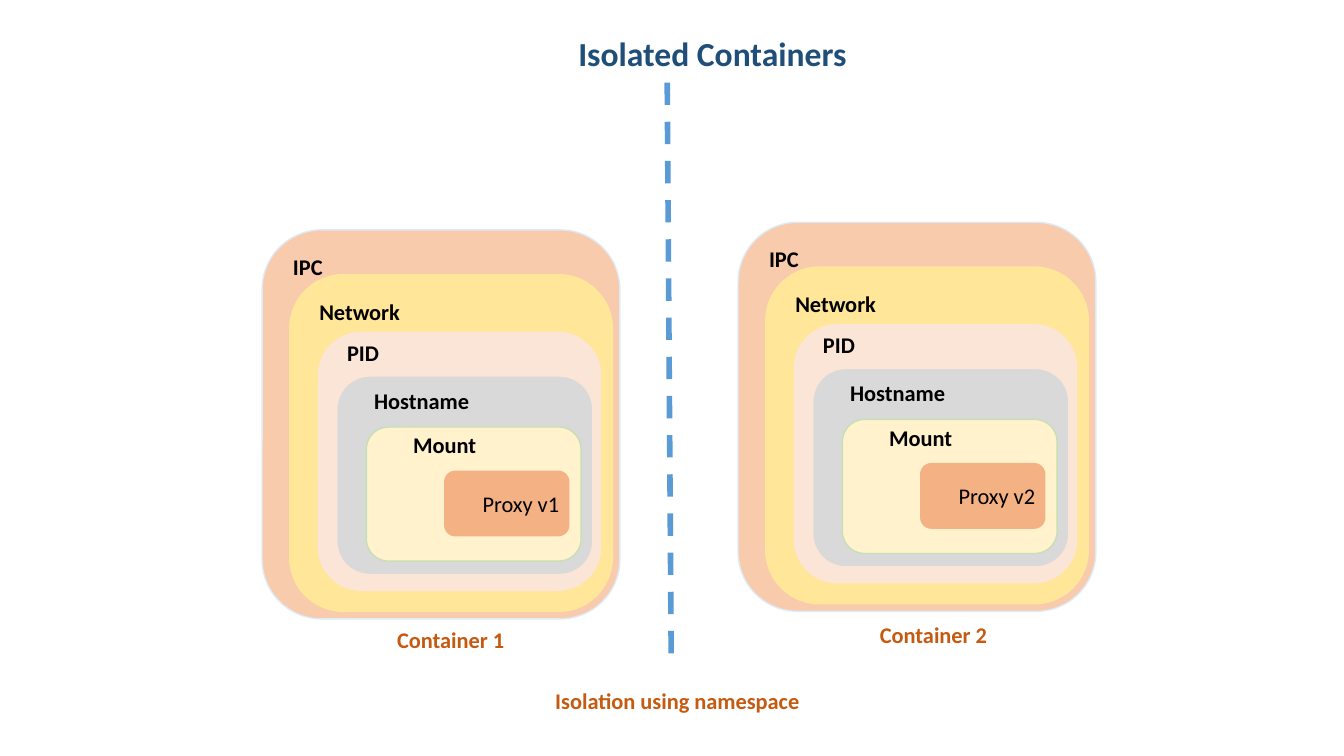
from dataclasses import dataclass

from lxml import etree
from pptx import Presentation
from pptx import util as u
from pptx.dml import color
from pptx.enum import dml, shapes, text
from pptx.oxml import ns


@dataclass(frozen=True)
class Theme:
    font: str = "Calibri"
    title: int = 24
    body: int = 16
    navy: str = "1F4E79"
    rust: str = "C55A11"
    ink: str = "000000"
    blue: str = "5B9BD5"
    ice: str = "DEEBF7"
    peach: str = "F8CBAD"
    gold: str = "FFE699"
    blush: str = "FBE5D6"
    grey: str = "D9D9D9"
    cream: str = "FFF2CC"
    mint: str = "C5E0B4"
    amber: str = "F4B183"


LOOK = Theme()

# Nested namespaces: offset and size of the layer, fill, line,
# then the label with its offset and width
LAYERS = [
    ((0, 0, 255.6, 277.9), LOOK.peach, LOOK.ice, "IPC", (15, 12.8, 40.5)),
    ((19.8, 32, 230.4, 240.5), LOOK.gold, LOOK.gold, "Network", (33.8, 45, 83)),
    ((40.3, 73.2, 201.6, 184.3), LOOK.blush, LOOK.blush, "PID", (53.6, 74.2, 42)),
    ((53.4, 104.4, 182.9, 141.8), LOOK.grey, LOOK.blush, "Hostname", (73, 108.4, 94)),
    ((74.5, 140.8, 153.4, 95.8), LOOK.cream, LOOK.mint, "Mount", (100.8, 140.2, 67)),
    ((130.5, 172.4, 88.6, 46.1), LOOK.amber, LOOK.amber, None, (150.5, 182, 80)),
]


def rgb(code):
    return color.RGBColor.from_string(code)


def write(slide, box, words, hue=LOOK.ink, size=LOOK.body, bold=True):
    frame = slide.shapes.add_textbox(*map(u.Pt, box)).text_frame
    frame.word_wrap = True
    frame.vertical_anchor = text.MSO_ANCHOR.MIDDLE
    line = frame.paragraphs[0]
    line.text = words
    line.font.name = LOOK.font
    line.font.size = u.Pt(size)
    line.font.bold = bold
    line.font.color.rgb = rgb(hue)


def panel(slide, box, fill, edge):
    shape = slide.shapes.add_shape(
        shapes.MSO_SHAPE.ROUNDED_RECTANGLE, *map(u.Pt, box))
    shape.shadow.inherit = False
    shape.fill.solid()
    shape.fill.fore_color.rgb = rgb(fill)
    shape.line.color.rgb = rgb(edge)
    shape.line.width = u.Pt(1)


def stack(slide, left, top, app):
    """Nested layers of one container, with the app at the core."""
    for (x, y, wide, high), fill, edge, _, _ in LAYERS:
        panel(slide, (left + x, top + y, wide, high), fill, edge)
    for _, _, _, name, (x, y, wide) in LAYERS:
        write(slide, (left + x, top + y, wide, 26.6), name or app,
              bold=name is not None)


def divide(slide, start, end):
    """Dashed line between the containers."""
    line = slide.shapes.add_connector(
        shapes.MSO_CONNECTOR.STRAIGHT, *map(u.Pt, start + end))
    line.line.color.rgb = rgb(LOOK.blue)
    line.line.width = u.Pt(4)
    line.line.dash_style = dml.MSO_LINE.DASH
    etree.SubElement(line._element.spPr, ns.qn("a:effectLst"))


def main():
    deck = Presentation()
    deck.slide_width, deck.slide_height = u.Pt(960), u.Pt(540)
    slide = deck.slides.add_slide(deck.slide_layouts[6])

    # Containers
    stack(slide, 187.2, 164.2, "Proxy v1")
    stack(slide, 527.2, 158.8, "Proxy v2")
    divide(slide, (476.6, 59), (479.5, 476.6))

    # Captions and title
    write(slide, (276.5, 443.5, 118, 26.6), "Container 1", LOOK.rust)
    write(slide, (621.4, 440, 118, 26.6), "Container 2", LOOK.rust)
    write(slide, (389.5, 487.4, 234, 26.6), "Isolation using namespace", LOOK.rust)
    write(slide, (406, 18, 540, 40), "Isolated Containers", LOOK.navy, LOOK.title)

    deck.save("out.pptx")


if __name__ == "__main__":
    main()
